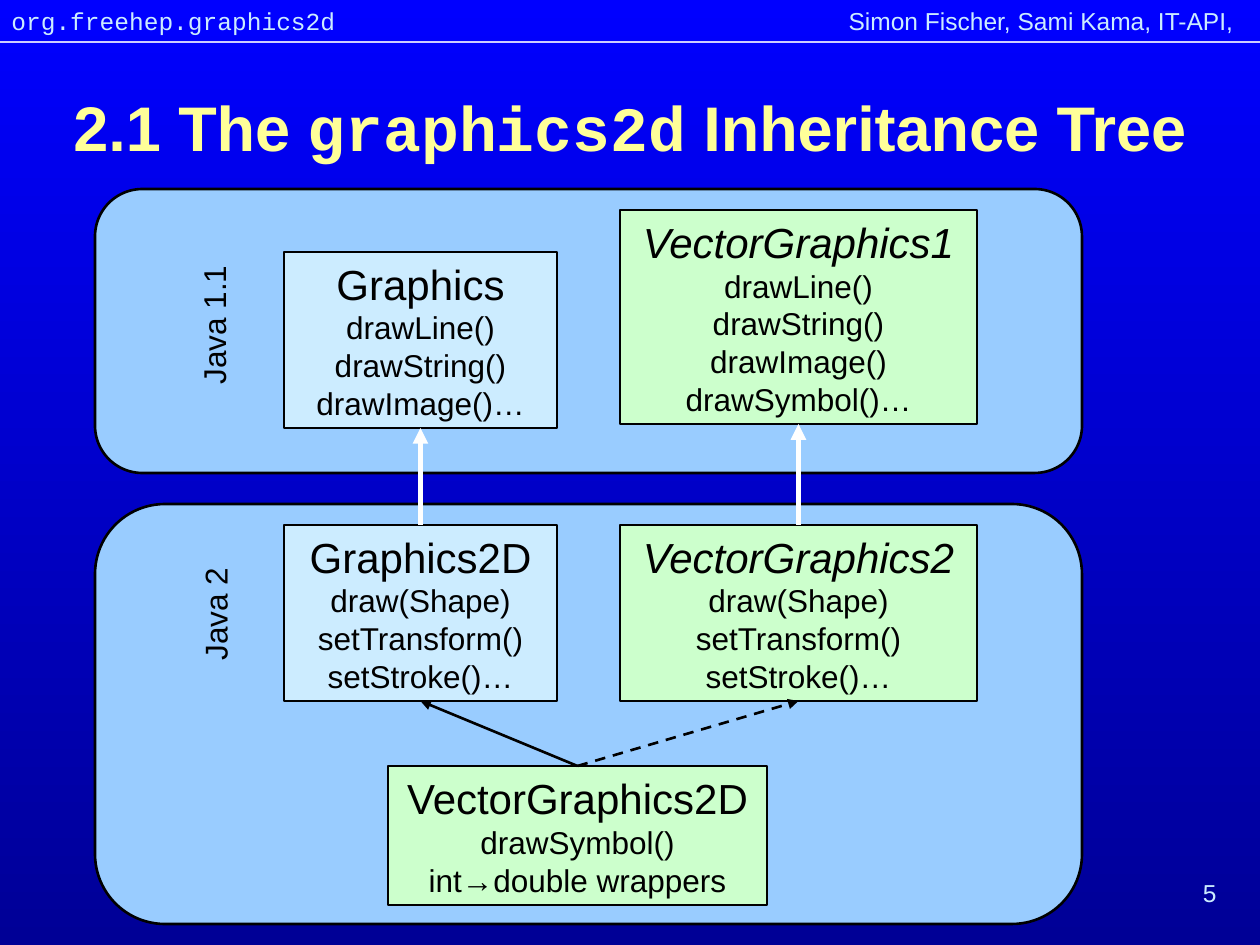
from dataclasses import dataclass
from typing import NamedTuple

from lxml import etree
from pptx import Presentation
from pptx import util as u
from pptx.dml.color import RGBColor
from pptx.enum import dml, shapes, text
from pptx.oxml import ns

PIXELS_PER_INCH = 126


@dataclass(frozen=True)
class Theme:
    sky_top: str = "0000FF"
    sky_bottom: str = "000096"
    title: str = "FFFF99"
    header: str = "CCECFF"
    rule: str = "CCCCFF"
    panel: str = "99CCFF"
    java_class: str = "CCECFF"
    vector_class: str = "CCFFCC"
    ink: str = "000000"
    white: str = "FFFFFF"
    sans: str = "Arial"
    mono: str = "Courier New"
    title_size: int = 36
    class_size: int = 24
    body_size: int = 18
    header_size: int = 14
    thin: float = 1.5
    thick: float = 3


THEME = Theme()


class Area(NamedTuple):
    left: int
    top: int
    width: int
    height: int


class Label(NamedTuple):
    wording: str
    area: Area
    size: int = THEME.header_size
    color: str = THEME.header
    font: str = THEME.sans
    align: text.PP_ALIGN = text.PP_ALIGN.LEFT
    rotation: int = 0
    wrap: bool = True


class ClassBox(NamedTuple):
    name: str
    methods: tuple[str, ...]
    area: Area
    fill: str
    italic: bool = False


class Arrow(NamedTuple):
    child: str
    parent: str
    color: str = THEME.ink
    width: float = THEME.thin
    dashed: bool = False


PANELS = (Area(95, 189, 987, 284), Area(95, 504, 987, 420))

LABELS = (
    Label("Simon Fischer, Sami Kama, IT-API,", Area(738, 0, 508, 43), align=text.PP_ALIGN.RIGHT),
    Label("org.freehep.graphics2d", Area(-1, 0, 360, 43), font=THEME.mono, wrap=False),
    Label("Java 1.1", Area(98, 300, 231, 50), THEME.body_size, THEME.ink,
          align=text.PP_ALIGN.CENTER, rotation=270),
    Label("Java 2", Area(136, 589, 158, 50), THEME.body_size, THEME.ink,
          align=text.PP_ALIGN.CENTER, rotation=270),
    Label("5", Area(1166, 872, 63, 42), align=text.PP_ALIGN.RIGHT),
)

DRAW_METHODS = ("drawLine()", "drawString()")
SHAPE_METHODS = ("draw(Shape)", "setTransform()", "setStroke()…")

CLASS_BOXES = (
    ClassBox("VectorGraphics2D", ("drawSymbol()", "int→double wrappers"),
             Area(388, 766, 379, 139), THEME.vector_class),
    ClassBox("VectorGraphics1", (*DRAW_METHODS, "drawImage()", "drawSymbol()…"),
             Area(620, 210, 357, 214), THEME.vector_class, italic=True),
    ClassBox("VectorGraphics2", SHAPE_METHODS,
             Area(620, 525, 357, 176), THEME.vector_class, italic=True),
    ClassBox("Graphics", (*DRAW_METHODS, "drawImage()…"),
             Area(284, 252, 273, 176), THEME.java_class),
    ClassBox("Graphics2D", SHAPE_METHODS, Area(284, 525, 273, 176), THEME.java_class),
)

ARROWS = (
    Arrow("VectorGraphics2D", "VectorGraphics2", dashed=True),
    Arrow("VectorGraphics2D", "Graphics2D"),
    Arrow("VectorGraphics2", "VectorGraphics1", THEME.white, THEME.thick),
    Arrow("Graphics2D", "Graphics", THEME.white, THEME.thick),
)


def px(length: int) -> int:
    return round(length * u.Inches(1) / PIXELS_PER_INCH)


def place(area: Area) -> list[int]:
    return [px(length) for length in area]


def add_run(paragraph, wording: str, size: int, color: str, font: str = THEME.sans,
            bold: bool = False, italic: bool = False) -> None:
    run = paragraph.add_run()
    run.text = wording
    run.font.size = u.Pt(size)
    run.font.name = font
    run.font.bold = bold
    run.font.italic = italic
    run.font.color.rgb = RGBColor.from_string(color)


def paint_background(slide) -> None:
    fill = slide.background.fill
    fill.gradient()
    fill.gradient_angle = 270
    for stop, color in zip(fill.gradient_stops, (THEME.sky_top, THEME.sky_bottom)):
        stop.color.rgb = RGBColor.from_string(color)


def add_title(slide) -> None:
    title = slide.shapes.title
    title.left, title.top, title.width, title.height = place(Area(0, 95, 1260, 63))
    frame = title.text_frame
    frame.word_wrap = True
    frame.auto_size = text.MSO_AUTO_SIZE.NONE
    frame.vertical_anchor = text.MSO_ANCHOR.MIDDLE
    paragraph = frame.paragraphs[0]
    paragraph.alignment = text.PP_ALIGN.CENTER
    for wording, font in (("2.1 The ", THEME.sans), ("graphics2d", THEME.mono),
                          (" Inheritance Tree", THEME.sans)):
        add_run(paragraph, wording, THEME.title_size, THEME.title, font, bold=True)


def add_label(slide, label: Label) -> None:
    box = slide.shapes.add_textbox(*place(label.area))
    box.rotation = label.rotation
    box.text_frame.word_wrap = label.wrap
    paragraph = box.text_frame.paragraphs[0]
    paragraph.alignment = label.align
    add_run(paragraph, label.wording, label.size, label.color, label.font)


def add_outlined_shape(slide, kind: shapes.MSO_SHAPE, area: Area, fill: str):
    shape = slide.shapes.add_shape(kind, *place(area))
    shape.shadow.inherit = False
    shape.fill.solid()
    shape.fill.fore_color.rgb = RGBColor.from_string(fill)
    shape.line.color.rgb = RGBColor.from_string(THEME.ink)
    shape.line.width = u.Pt(THEME.thin)
    return shape


def add_class_box(slide, box: ClassBox):
    shape = add_outlined_shape(slide, shapes.MSO_SHAPE.RECTANGLE, box.area, box.fill)
    shape.text_frame.word_wrap = True
    shape.text_frame.vertical_anchor = text.MSO_ANCHOR.MIDDLE
    paragraph = shape.text_frame.paragraphs[0]
    paragraph.alignment = text.PP_ALIGN.CENTER
    add_run(paragraph, box.name, THEME.class_size, THEME.ink, italic=box.italic)
    for method in box.methods:
        paragraph.add_line_break()
        add_run(paragraph, method, THEME.body_size, THEME.ink)
    return shape


def add_line(slide, start: tuple[int, int], end: tuple[int, int], color: str, width: float):
    line = slide.shapes.add_connector(shapes.MSO_CONNECTOR.STRAIGHT, *map(px, start + end))
    line.line.color.rgb = RGBColor.from_string(color)
    line.line.width = u.Pt(width)
    etree.SubElement(line._element.spPr, ns.qn("a:effectLst"))
    return line


def add_arrow(slide, arrow: Arrow, class_shapes: dict) -> None:
    """Join the top of the child class to the bottom of its parent."""
    connector = add_line(slide, (0, 0), (0, 0), arrow.color, arrow.width)
    connector.begin_connect(class_shapes[arrow.child], 0)
    connector.end_connect(class_shapes[arrow.parent], 2)
    if arrow.dashed:
        connector.line.dash_style = dml.MSO_LINE.DASH
    outline = connector.line._get_or_add_ln()
    etree.SubElement(outline, ns.qn("a:tailEnd"), type="triangle")


def main() -> None:
    presentation = Presentation()
    presentation.slide_width, presentation.slide_height = px(1260), px(945)
    slide = presentation.slides.add_slide(presentation.slide_layouts[5])
    paint_background(slide)
    add_line(slide, (0, 42), (1260, 42), THEME.rule, THEME.thin)
    for area in PANELS:
        add_outlined_shape(slide, shapes.MSO_SHAPE.ROUNDED_RECTANGLE, area, THEME.panel)
    for label in LABELS:
        add_label(slide, label)
    add_title(slide)
    class_shapes = {box.name: add_class_box(slide, box) for box in CLASS_BOXES}
    for arrow in ARROWS:
        add_arrow(slide, arrow, class_shapes)
    presentation.save("out.pptx")


if __name__ == "__main__":
    main()
